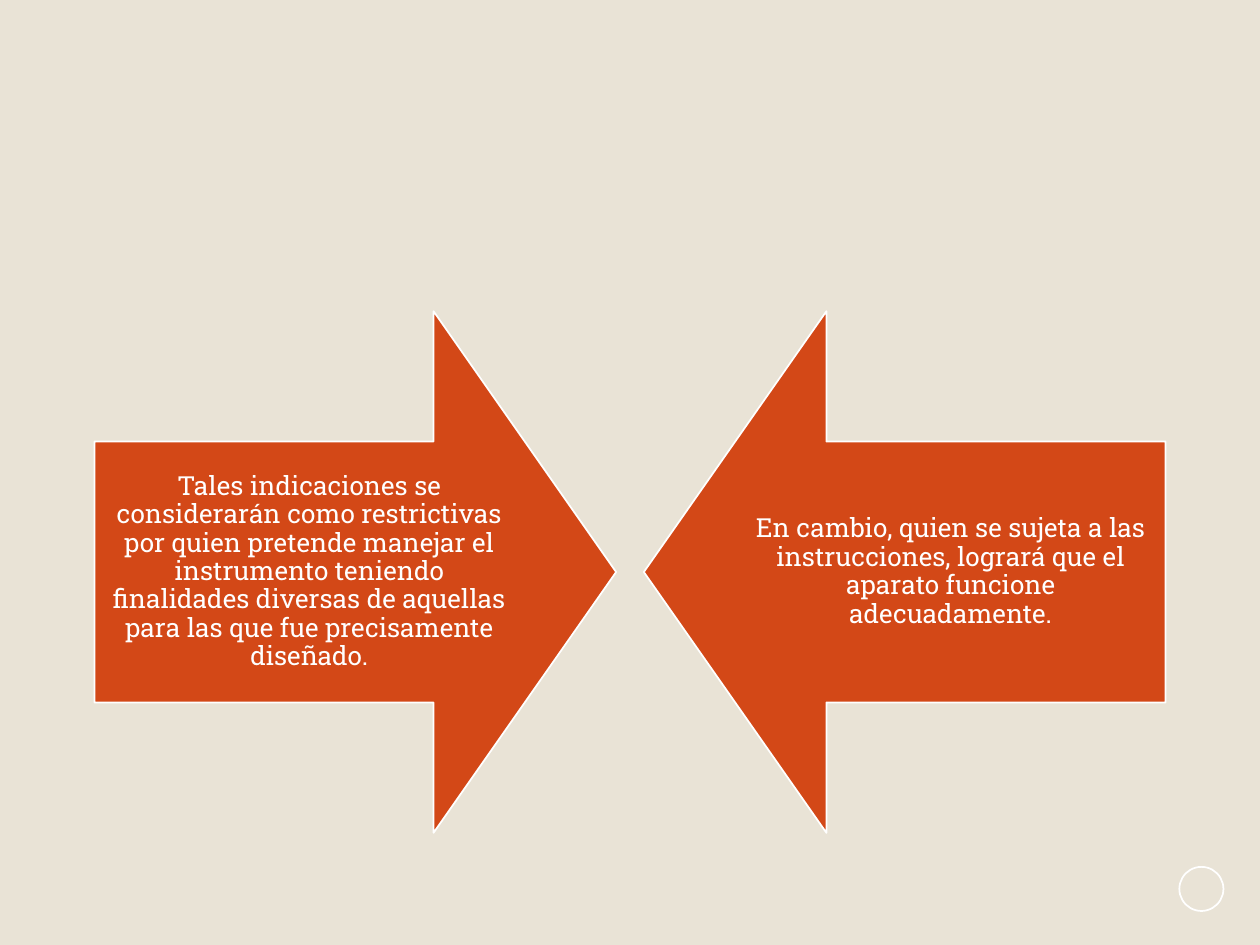
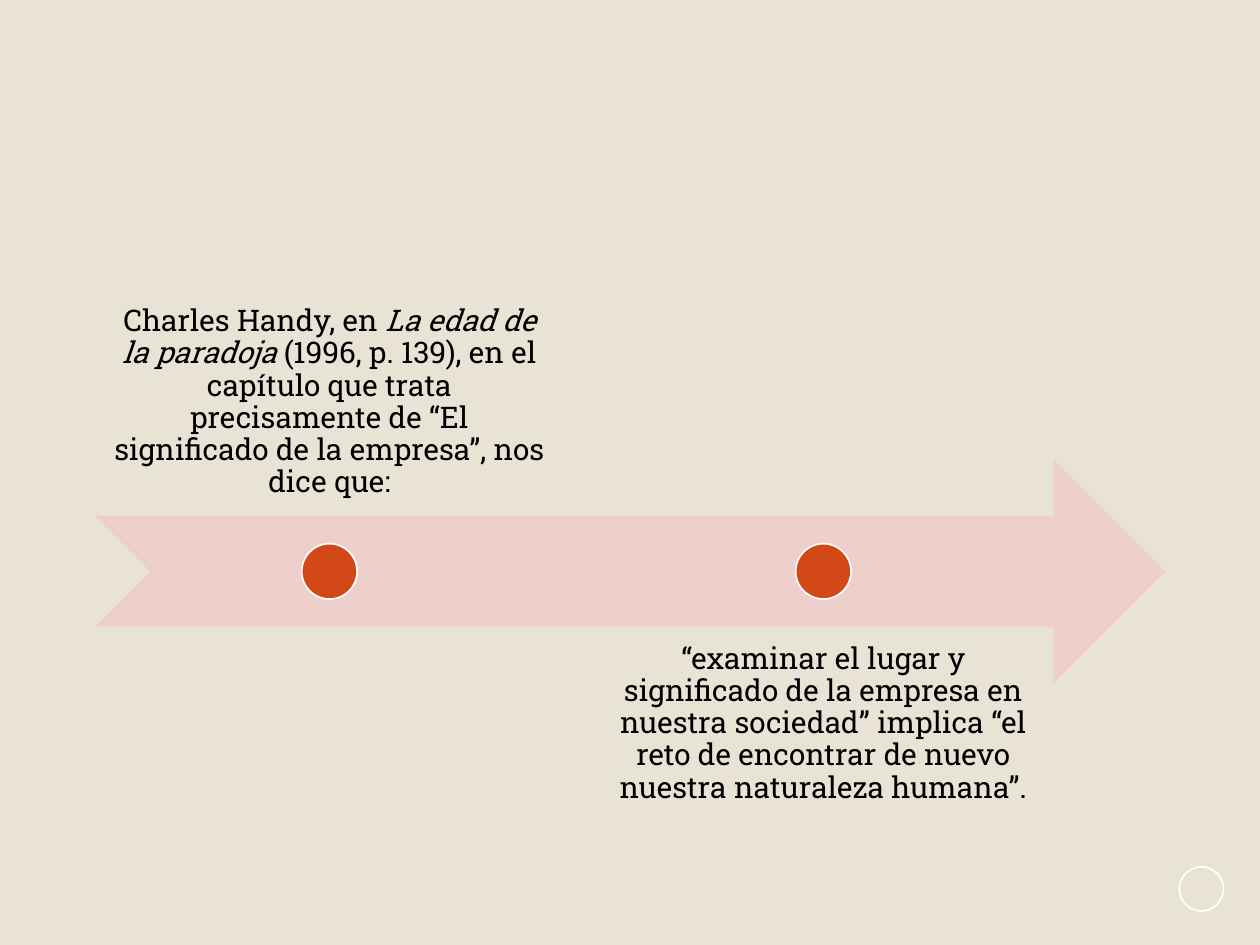
"""Build two slides: opposing arrows and a two-step timeline."""
from dataclasses import dataclass

from pptx import Presentation
from pptx.dml.color import RGBColor as RGB
from pptx.enum.shapes import MSO_SHAPE as SHAPE
from pptx.enum.text import MSO_ANCHOR as ANCHOR, PP_ALIGN as ALIGN
from pptx.util import Inches, Pt


@dataclass(frozen=True)
class Theme:
    """Colours, font and sizes shared by the slides."""
    background: RGB = RGB.from_string("E9E3D6")
    accent: RGB = RGB.from_string("D34817")
    pale: RGB = RGB.from_string("EFCFCC")
    white: RGB = RGB.from_string("FFFFFF")
    black: RGB = RGB.from_string("000000")
    font: str = "Roboto Slab"
    arrow_size: int = 15
    timeline_size: int = 17
    outline: int = 1


THEME = Theme()
WIDTH, HEIGHT, MARGIN = 10, 7.5, 0.75


def add_slide(prs):
    """Add a blank slide with the background and the corner ring."""
    s = prs.slides.add_slide(prs.slide_layouts[6])
    s.background.fill.solid()
    s.background.fill.fore_color.rgb = THEME.background
    add_figure(s, SHAPE.OVAL, (9.36, 6.88, 0.35, 0.35))
    return s


def add_figure(s, kind, box, fill=None, outlined=True):
    """Add a preset shape with an optional fill and white outline."""
    sp = s.shapes.add_shape(kind, *map(Inches, box))
    sp.shadow.inherit = False
    if fill is None:
        sp.fill.background()
    else:
        sp.fill.solid()
        sp.fill.fore_color.rgb = fill
    if outlined:
        sp.line.color.rgb = THEME.white
        sp.line.width = Pt(THEME.outline)
    else:
        sp.line.fill.background()
    return sp


def add_text(s, box, runs, size, color, anchor, inset):
    """Add a centred paragraph made of (text, italic) runs."""
    tf = s.shapes.add_textbox(*map(Inches, box)).text_frame
    tf.word_wrap = True
    tf.vertical_anchor = anchor
    tf.margin_left = tf.margin_right = Inches(inset)
    tf.margin_top = tf.margin_bottom = Inches(inset)
    p = tf.paragraphs[0]
    p.alignment = ALIGN.CENTER
    p.line_spacing = 0.9
    for text, italic in runs:
        r = p.add_run()
        r.text = text
        r.font.name = THEME.font
        r.font.size = Pt(size)
        r.font.color.rgb = color
        r.font.italic = italic


def add_facing_arrow(s, text, points_right):
    """Add an arrow that points to the slide centre, with its text."""
    side, text_width, top = 4.14, 3.41, 2.47

    def left(width):
        """Return the left edge of an element set against its margin."""
        return MARGIN if points_right else WIDTH - MARGIN - width

    arrow = add_figure(s, SHAPE.DOWN_ARROW, (left(side), top, side, side), THEME.accent)
    arrow.rotation = 270 if points_right else 90
    arrow.adjustments[0] = 0.5
    arrow.adjustments[1] = 0.35
    box = (left(text_width), top + side / 4, text_width, side / 2)
    add_text(s, box, [(text, False)], THEME.arrow_size, THEME.white, ANCHOR.MIDDLE, 0.12)


def add_timeline(s, steps):
    """Add a notched arrow with dots and texts alternating above and below."""
    top, height, dot, text_width, pitch = 3.65, 1.77, 0.44, 3.73, 3.92
    band = (MARGIN, top, WIDTH - 2 * MARGIN, height)
    add_figure(s, SHAPE.NOTCHED_RIGHT_ARROW, band, THEME.pale, outlined=False)
    for i, runs in enumerate(steps):
        left = MARGIN + i * pitch
        text_top, anchor = (4.98, ANCHOR.TOP) if i % 2 else (2.32, ANCHOR.BOTTOM)
        add_text(s, (left, text_top, text_width, height), runs,
                 THEME.timeline_size, THEME.black, anchor, 0.13)
        dot_box = (left + (text_width - dot) / 2, top + (height - dot) / 2, dot, dot)
        add_figure(s, SHAPE.OVAL, dot_box, THEME.accent)


def main():
    """Build and save the presentation."""
    prs = Presentation()
    prs.slide_width, prs.slide_height = Inches(WIDTH), Inches(HEIGHT)

    s = add_slide(prs)
    add_facing_arrow(s, "Tales indicaciones se considerarán como restrictivas por quien "
                     "pretende manejar el instrumento teniendo finalidades diversas de "
                     "aquellas para las que fue precisamente diseñado.", True)
    add_facing_arrow(s, "En cambio, quien se sujeta a las instrucciones, logrará que el "
                     "aparato funcione adecuadamente.", False)

    s = add_slide(prs)
    add_timeline(s, [
        [("Charles Handy, en ", False),
         ("La edad de la paradoja ", True),
         ("(1996, p. 139), en el capítulo que trata precisamente de “El significado "
          "de la empresa”, nos dice que:", False)],
        [("“examinar el lugar y significado de la empresa en nuestra sociedad” implica "
          "“el reto de encontrar de nuevo nuestra naturaleza humana”.", False)],
    ])
    prs.save("out.pptx")


if __name__ == "__main__":
    main()
